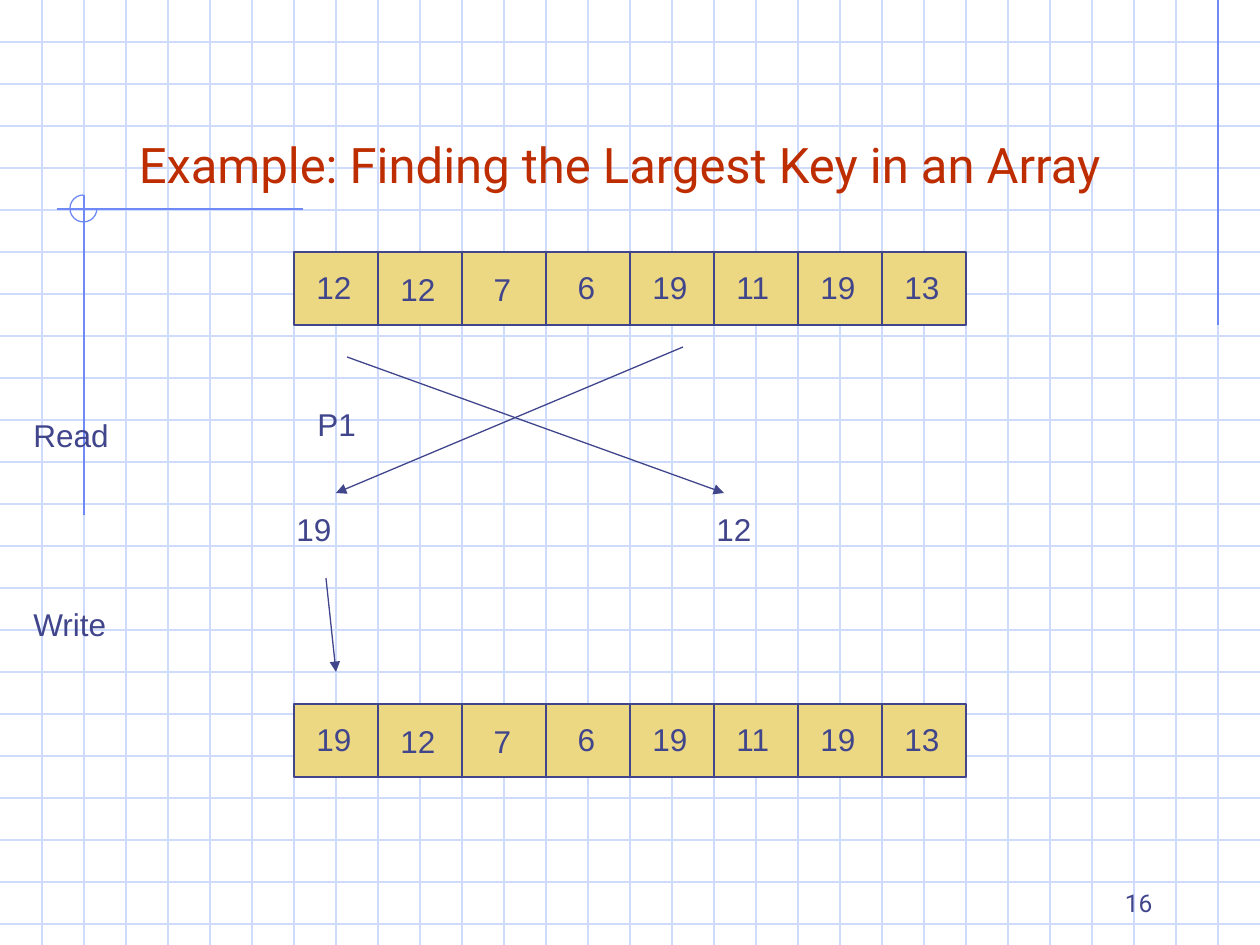
import pptx
import pptx.dml.color
import pptx.enum.shapes
import pptx.enum.text
import pptx.oxml.ns
import pptx.oxml.xmlchemy
import pptx.util

PX = pptx.util.Inches(1) / 126
WIDTH, HEIGHT = 1260, 945
GRID = 42
CELL_WIDTH, CELL_HEIGHT = 84, 73
ARRAY_LEFT = 294
COLORS = {
    "grid": "CFDBFD",
    "accent": "6F89F7",
    "title": "BE2D00",
    "ink": "40458C",
    "cell": "ECD882",
}


class Painter:
    """Draws styled elements on the current slide, measured in px."""

    def __init__(self, page):
        self.page = page

    def emu(self, *lengths):
        return [pptx.util.Emu(round(length * PX)) for length in lengths]

    def color(self, name):
        return pptx.dml.color.RGBColor.from_string(COLORS[name])

    def outline(self, line, color):
        line.color.rgb = self.color(color)
        line.width = pptx.util.Pt(0.75)

    def line(self, start, end, color="ink", arrow=False):
        connector = self.page.shapes.add_connector(
            pptx.enum.shapes.MSO_CONNECTOR.STRAIGHT, *self.emu(*start, *end))
        self.outline(connector.line, color)
        properties = connector._element.spPr
        if arrow:
            tail = pptx.oxml.xmlchemy.OxmlElement("a:tailEnd")
            tail.set("type", "triangle")
            properties.find(pptx.oxml.ns.qn("a:ln")).append(tail)
        properties.append(pptx.oxml.xmlchemy.OxmlElement("a:effectLst"))

    def arc(self, left, top, size):
        arc = self.page.shapes.add_shape(
            pptx.enum.shapes.MSO_SHAPE.ARC, *self.emu(left, top, size, size))
        arc.shadow.inherit = False
        arc.fill.background()
        arc.adjustments[0] = 0
        arc.adjustments[1] = 162
        self.outline(arc.line, "accent")

    def cell(self, left, top):
        cell = self.page.shapes.add_shape(
            pptx.enum.shapes.MSO_SHAPE.RECTANGLE,
            *self.emu(left, top, CELL_WIDTH, CELL_HEIGHT))
        cell.shadow.inherit = False
        cell.fill.solid()
        cell.fill.fore_color.rgb = self.color("cell")
        self.outline(cell.line, "ink")

    def text(self, words, left, top, width=63, height=50, size=18, font="Arial",
             color="ink", align="LEFT", anchor="TOP", indent=0):
        box = self.page.shapes.add_textbox(*self.emu(left, top, width, height))
        frame = box.text_frame
        frame.word_wrap = True
        frame.vertical_anchor = pptx.enum.text.MSO_ANCHOR[anchor]
        frame.margin_left += self.emu(indent)[0]
        para = frame.paragraphs[0]
        para.alignment = pptx.enum.text.PP_ALIGN[align]
        span = para.add_run()
        span.text = words
        span.font.size = pptx.util.Pt(size)
        span.font.name = font
        span.font.color.rgb = self.color(color)

    def array(self, values, top):
        lefts = [ARRAY_LEFT + CELL_WIDTH * index for index in range(len(values))]
        for left in lefts:
            self.cell(left, top)
        for index, (left, value) in enumerate(zip(lefts, values)):
            drop = 12 if index in (1, 2) else 10
            self.text(str(value), left + 10, top + drop,
                      indent=9 if value < 10 else 0)

    def background(self):
        for y in range(GRID, HEIGHT, GRID):
            self.line((0, y), (WIDTH, y), "grid")
        for x in range(GRID, WIDTH, GRID):
            self.line((x, 0), (x, HEIGHT), "grid")
        self.line((1218, 0), (1218, 325), "accent")
        self.line((303, 209), (57, 209), "accent")
        self.line((84, 195), (84, 515), "accent")
        self.arc(70, 195, 27)


def main():
    deck = pptx.Presentation()
    deck.slide_width = pptx.util.Inches(10)
    deck.slide_height = pptx.util.Inches(7.5)
    painter = Painter(deck.slides.add_slide(deck.slide_layouts[6]))

    painter.background()
    painter.text("Example: Finding the Largest Key in an Array", 84, 42, 1071, 158,
                 size=28, font="Roboto", color="title", align="CENTER",
                 anchor="BOTTOM")

    rest = [12, 7, 6, 19, 11, 19, 13]
    painter.array([12] + rest, 252)
    painter.line((347, 357), (724, 493), arrow=True)
    painter.line((683, 347), (336, 493), arrow=True)
    painter.text("12", 704, 504)
    painter.text("19", 284, 504)
    painter.text("P1", 305, 399, 95)
    painter.text("Read", 21, 410, 189)

    painter.array([19] + rest, 704)
    painter.line((326, 578), (336, 672), arrow=True)
    painter.text("Write", 21, 599, 210)
    painter.text("16", 903, 861, 262, 63, size=14, font="Roboto", align="RIGHT",
                 anchor="BOTTOM")

    deck.save("out.pptx")


if __name__ == "__main__":
    main()
